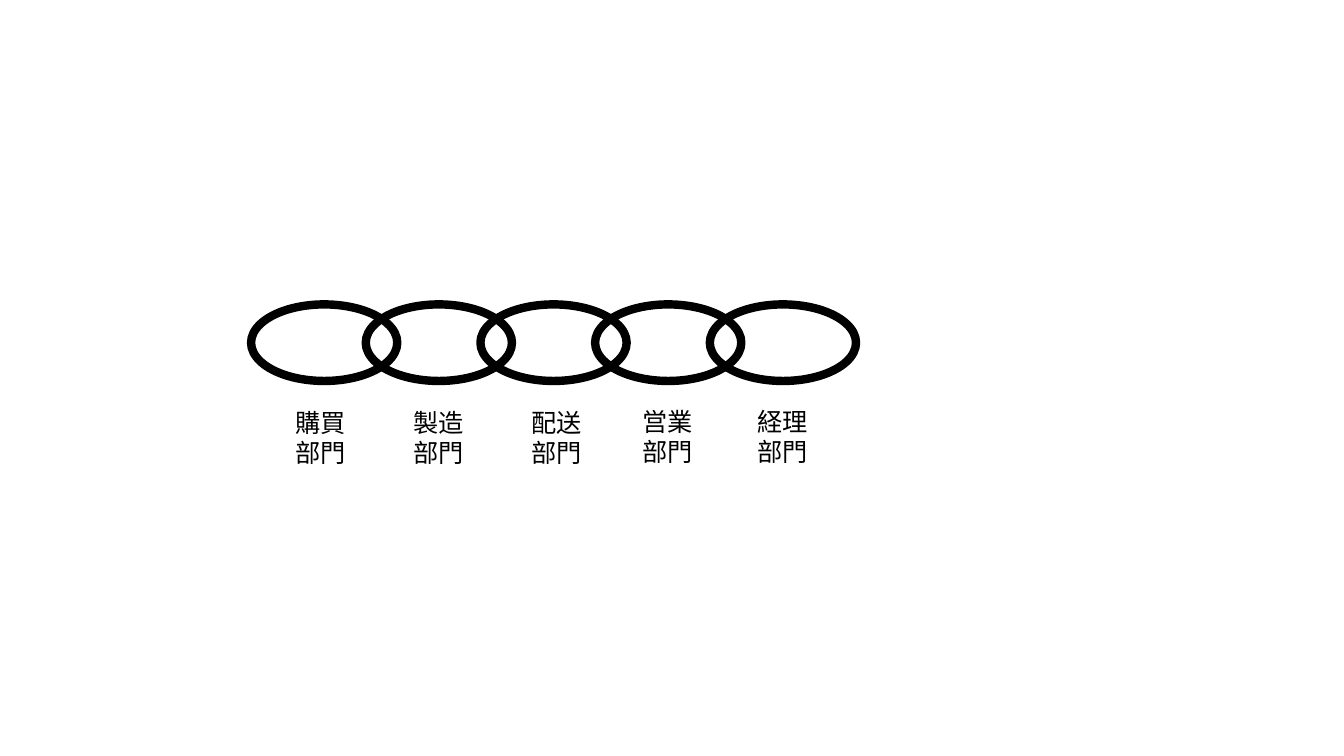
"""Draw a chain of five linked departments with a label under each link."""
from lxml import etree
from pptx import Presentation
from pptx import util as u
from pptx.dml.color import RGBColor
from pptx.enum import shapes, text
from pptx.oxml import ns

BLACK = RGBColor(0, 0, 0)
FONT_NAME = "Noto Sans CJK JP"
LINK_LEFT, LINK_TOP, LINK_STEP = 2.49, 3.02, 1.1375
LABELS = [
    ("購買", 2.83, 3.99),
    ("製造", 4.0, 3.99),
    ("配送", 5.17, 3.99),
    ("営業", 6.27, 3.98),
    ("経理", 7.41, 3.98),
]


class ChainSlide:
    def __init__(self, presentation):
        self.slide = presentation.slides.add_slide(presentation.slide_layouts[6])
        self.group = self.slide.shapes.add_group_shape()
        self.line_width = u.Pt(6)
        self.font_size = u.Pt(18)

    def add_link(self, left, top):
        shape = self.group.shapes.add_shape(
            shapes.MSO_SHAPE.OVAL,
            u.Inches(left), u.Inches(top), u.Inches(1.45), u.Inches(0.76),
        )
        shape.shadow.inherit = False
        shape.fill.background()
        shape.line.color.rgb = BLACK
        shape.line.width = self.line_width

    def add_label(self, lines, left, top):
        shape = self.group.shapes.add_textbox(
            u.Inches(left), u.Inches(top), u.Inches(0.71), u.Inches(0.71)
        )
        frame = shape.text_frame
        frame.word_wrap = False
        frame.auto_size = text.MSO_AUTO_SIZE.SHAPE_TO_FIT_TEXT
        frame.text = "\n".join(lines)
        for paragraph in frame.paragraphs:
            font = paragraph.font
            font.size = self.font_size
            font.color.rgb = BLACK
            font.name = FONT_NAME
            properties = paragraph._p.pPr.find(ns.qn("a:defRPr"))
            east_asian = etree.SubElement(properties, ns.qn("a:ea"))
            east_asian.set("typeface", FONT_NAME)


def main():
    presentation = Presentation()
    presentation.slide_width = u.Inches(13.33)
    presentation.slide_height = u.Inches(7.5)
    chain = ChainSlide(presentation)
    for index in range(len(LABELS)):
        chain.add_link(LINK_LEFT + index * LINK_STEP, LINK_TOP)
    for department, left, top in LABELS:
        chain.add_label((department, "部門"), left, top)
    presentation.save("out.pptx")


if __name__ == "__main__":
    main()
